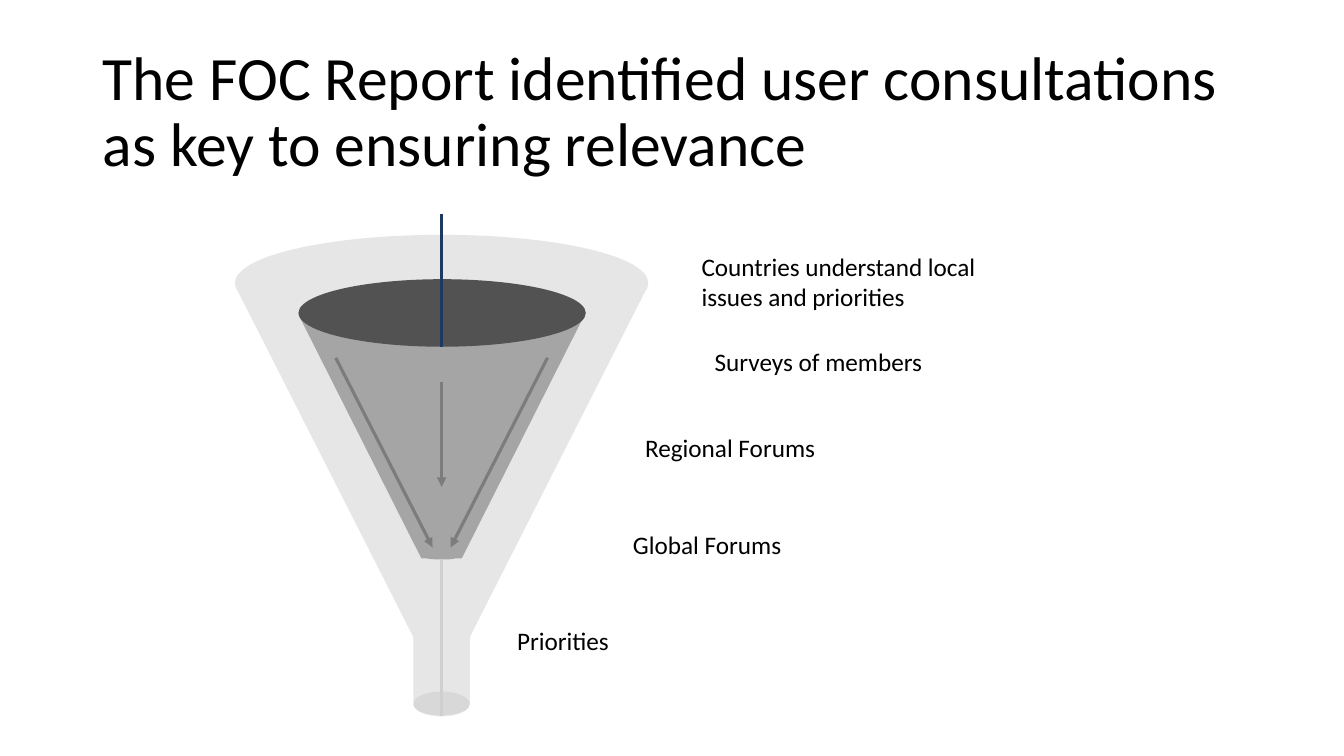
from dataclasses import dataclass

from lxml.etree import SubElement
from pptx import Presentation
from pptx.dml.color import RGBColor
from pptx.enum.shapes import MSO_CONNECTOR, MSO_SHAPE
from pptx.enum.text import MSO_ANCHOR, MSO_AUTO_SIZE
from pptx.oxml.ns import qn
from pptx.shapes.base import BaseShape
from pptx.slide import Slide
from pptx.util import Inches, Pt

Point = tuple[float, float]
Segment = tuple[Point, ...]  # one point: straight line; three points: Bézier curve


@dataclass(frozen=True)
class Theme:
    font: str = "Calibri"
    title_size: int = 44
    label_size: int = 18
    line_width: float = 2.25
    text: str = "000000"
    funnel: str = "E7E6E6"
    cone: str = "A5A5A5"
    mouth: str = "525252"
    spout: str = "000000"
    arrow: str = "7C7C7C"
    stem: str = "D0CECE"
    inflow: str = "203864"


@dataclass(frozen=True)
class Label:
    text: str
    left: float
    top: float
    height: float = 0.4


@dataclass(frozen=True)
class Line:
    start: Point
    end: Point
    color: str
    arrow: bool = False


@dataclass(frozen=True)
class Oval:
    left: float
    top: float
    width: float
    height: float
    color: str
    opacity: int = 100


@dataclass(frozen=True)
class Outline:
    start: Point
    segments: list[Segment]
    color: str


THEME = Theme()
AXIS = 4.38
LABEL_WIDTH = 3.16

FUNNEL = Outline((AXIS, 2.33), [
    ((5.51, 2.33), (6.43, 2.54), (6.43, 2.81)),
    ((6.42, 2.86),),
    ((6.4, 2.89),),
    ((4.66, 6.32),),
    ((4.66, 6.98),),
    ((4.66, 7.05), (4.53, 7.1), (AXIS, 7.1)),
    ((4.22, 7.1), (4.1, 7.05), (4.1, 6.98)),
    ((4.1, 6.32),),
    ((2.36, 2.89),),
    ((2.34, 2.86),),
    ((2.33, 2.81),),
    ((2.33, 2.54), (3.25, 2.33), (AXIS, 2.33)),
], THEME.funnel)

CONE = Outline((2.96, 3.12), [
    ((5.8, 3.12),),
    ((4.58, 5.54),),
    ((4.52, 5.54),),
    ((4.48, 5.55), (4.43, 5.55), (AXIS, 5.55)),
    ((4.33, 5.55), (4.28, 5.55), (4.23, 5.54)),
    ((4.18, 5.54),),
], THEME.cone)

OVALS = [
    Oval(2.96, 2.77, 2.85, 0.67, THEME.mouth),
    Oval(4.1, 6.86, 0.56, 0.25, THEME.spout, opacity=6),
]

LINES = [
    Line((AXIS, 5.55), (AXIS, 7.1), THEME.stem),
    Line((AXIS, 3.79), (AXIS, 4.83), THEME.arrow, arrow=True),
    Line((AXIS, 2.12), (AXIS, 3.44), THEME.inflow),
    *(Line((AXIS + side * 1.05, 3.55), (AXIS + side * 0.09, 5.43), THEME.arrow, arrow=True)
      for side in (-1, 1)),
]

LABELS = [
    Label("Countries understand local issues and priorities", 6.86, 2.44, 0.71),
    Label("Regional Forums", 6.3, 4.24),
    Label("Global Forums", 6.18, 5.2),
    Label("Priorities", 5.03, 6.15),
    Label("Surveys of members", 6.99, 3.39),
]


def paint(sp: BaseShape, color: str) -> None:
    sp.shadow.inherit = False
    sp.fill.solid()
    sp.fill.fore_color.rgb = RGBColor.from_string(color)
    sp.line.fill.background()


def add_outline(slide: Slide, outline: Outline) -> None:
    """Draw straight segments, then merge each three-point segment into a curve."""
    builder = slide.shapes.build_freeform(*(Inches(v) for v in outline.start))
    builder.add_line_segments(
        [(Inches(x), Inches(y)) for segment in outline.segments for x, y in segment],
        close=True)
    sp = builder.convert_to_shape()
    paint(sp, outline.color)
    steps = iter(list(sp.element.iter(qn("a:lnTo"))))
    for segment in outline.segments:
        first, *others = [next(steps) for _ in segment]
        if others:
            first.tag = qn("a:cubicBezTo")
            for step in others:
                first.append(step[0])
                step.getparent().remove(step)


def add_oval(slide: Slide, oval: Oval) -> None:
    sp = slide.shapes.add_shape(
        MSO_SHAPE.OVAL,
        *(Inches(v) for v in (oval.left, oval.top, oval.width, oval.height)))
    paint(sp, oval.color)
    if oval.opacity < 100:
        clr = sp.element.spPr.find(qn("a:solidFill")).find(qn("a:srgbClr"))
        SubElement(clr, qn("a:alpha"), val=str(oval.opacity * 1000))


def add_line(slide: Slide, line: Line) -> None:
    cxn = slide.shapes.add_connector(
        MSO_CONNECTOR.STRAIGHT, *(Inches(v) for v in (*line.start, *line.end)))
    cxn.line.color.rgb = RGBColor.from_string(line.color)
    cxn.line.width = Pt(THEME.line_width)
    spPr = cxn.element.spPr
    if line.arrow:
        SubElement(spPr.find(qn("a:ln")), qn("a:tailEnd"), type="triangle")
    SubElement(spPr, qn("a:effectLst"))


def add_text(slide: Slide, label: Label, width: float, size: int) -> BaseShape:
    sp = slide.shapes.add_textbox(
        Inches(label.left), Inches(label.top), Inches(width), Inches(label.height))
    tf = sp.text_frame
    tf.word_wrap = True
    tf.text = label.text
    font = tf.paragraphs[0].runs[0].font
    font.name = THEME.font
    font.size = Pt(size)
    font.color.rgb = RGBColor.from_string(THEME.text)
    return sp


def add_title(slide: Slide) -> None:
    title = Label("The FOC Report identified user consultations as key to ensuring relevance",
                  0.92, 0.4, 1.45)
    tf = add_text(slide, title, 11.5, THEME.title_size).text_frame
    tf.vertical_anchor = MSO_ANCHOR.MIDDLE
    tf.paragraphs[0].line_spacing = 0.9


def main() -> None:
    prs = Presentation()
    prs.slide_width, prs.slide_height = Inches(13.33), Inches(7.5)
    slide = prs.slides.add_slide(prs.slide_layouts[6])
    add_title(slide)
    for outline in (FUNNEL, CONE):
        add_outline(slide, outline)
    for oval in OVALS:
        add_oval(slide, oval)
    for line in LINES:
        add_line(slide, line)
    for label in LABELS:
        sp = add_text(slide, label, LABEL_WIDTH, THEME.label_size)
        sp.text_frame.auto_size = MSO_AUTO_SIZE.SHAPE_TO_FIT_TEXT
    prs.save("out.pptx")


if __name__ == "__main__":
    main()
